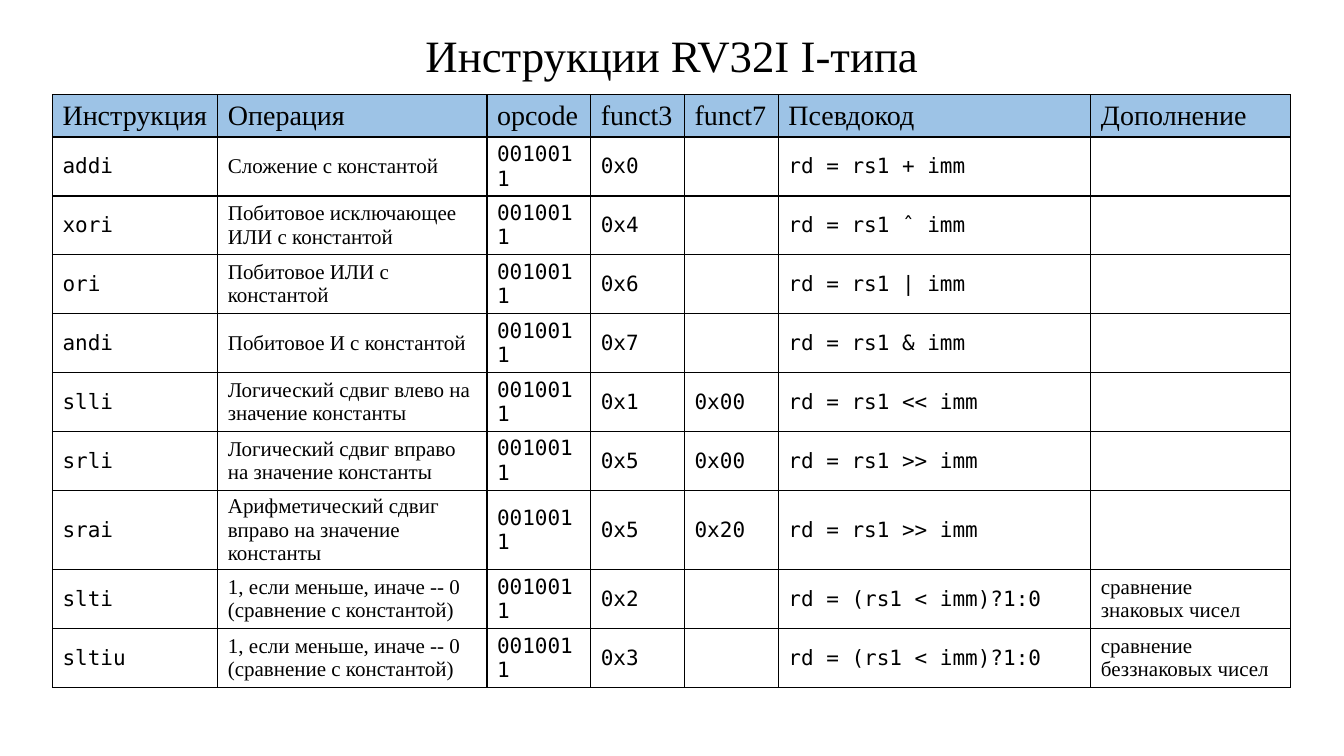
from typing import NamedTuple

from lxml.etree import SubElement
from pptx import Presentation
from pptx.dml.color import RGBColor
from pptx.enum.text import MSO_ANCHOR, MSO_AUTO_SIZE, PP_ALIGN
from pptx.oxml.ns import qn
from pptx.slide import Slide
from pptx.table import _Cell as Cell
from pptx.text.text import _Paragraph as Paragraph
from pptx.util import Inches, Pt

COLORS = {"text": "000000", "border": "000000", "header": "9DC3E6"}
SERIF, MONO = "Times New Roman", "DejaVu Sans Mono"
TITLE_SIZE, HEADER_SIZE, BODY_SIZE = 32, 20, 15

SLIDE_W, SLIDE_H = 13.33, 7.5
TABLE_LEFT, TABLE_TOP = 0.52, 0.94
HEADER_H = 0.42
LINE_H, ROW_PAD = 0.21, 0.16
OPCODE = "0010011"


class Column(NamedTuple):
    heading: str
    width: float
    font: str


class Instruction(NamedTuple):
    name: str
    operation: str
    funct3: str
    pseudocode: str
    funct7: str = ""
    note: str = ""
    lines: int = 2

    def cells(self) -> tuple[str, ...]:
        return (self.name, self.operation, OPCODE, self.funct3,
                self.funct7, self.pseudocode, self.note)


COLUMNS = [
    Column("Инструкция", 1.64, MONO),
    Column("Операция", 2.67, SERIF),
    Column("opcode", 1.03, MONO),
    Column("funct3", 0.93, MONO),
    Column("funct7", 0.93, MONO),
    Column("Псевдокод", 3.1, MONO),
    Column("Дополнение", 1.98, SERIF),
]

COMPARISON = "1, если меньше, иначе -- 0 (сравнение с константой)"
INSTRUCTIONS = [
    Instruction("addi", "Сложение с константой", "0x0", "rd = rs1 + imm"),
    Instruction("xori", "Побитовое исключающее ИЛИ с константой", "0x4", "rd = rs1 ˆ imm"),
    Instruction("ori", "Побитовое ИЛИ с константой", "0x6", "rd = rs1 | imm"),
    Instruction("andi", "Побитовое И с константой", "0x7", "rd = rs1 & imm"),
    Instruction("slli", "Логический сдвиг влево на значение константы", "0x1",
                "rd = rs1 << imm", funct7="0x00"),
    Instruction("srli", "Логический сдвиг вправо на значение константы", "0x5",
                "rd = rs1 >> imm", funct7="0x00"),
    Instruction("srai", "Арифметический сдвиг вправо на значение константы", "0x5",
                "rd = rs1 >> imm", funct7="0x20", lines=3),
    Instruction("slti", COMPARISON, "0x2", "rd = (rs1 < imm)?1:0",
                note="сравнение знаковых чисел"),
    Instruction("sltiu", COMPARISON, "0x3", "rd = (rs1 < imm)?1:0",
                note="сравнение беззнаковых чисел"),
]


def add_run(p: Paragraph, text: str, font: str, size: float) -> None:
    r = p.add_run()
    r.text = text
    r.font.name = font
    r.font.size = Pt(size)
    r.font.bold = False
    r.font.color.rgb = RGBColor.from_string(COLORS["text"])


def set_borders(cell: Cell) -> None:
    """Rule all four sides; must run before the cell's fill is set."""
    tc_pr = cell._tc.get_or_add_tcPr()
    for side in ("a:lnL", "a:lnR", "a:lnT", "a:lnB"):
        ln = SubElement(tc_pr, qn(side), w=str(Pt(1)))
        fill = SubElement(ln, qn("a:solidFill"))
        SubElement(fill, qn("a:srgbClr"), val=COLORS["border"])


def format_cell(cell: Cell, text: str, font: str, size: float, fill: str = "") -> None:
    set_borders(cell)
    if fill:
        cell.fill.solid()
        cell.fill.fore_color.rgb = RGBColor.from_string(fill)
    else:
        cell.fill.background()
    cell.vertical_anchor = MSO_ANCHOR.MIDDLE
    p = cell.text_frame.paragraphs[0]
    if text:
        add_run(p, text, font, size)
    else:
        p.font.size = Pt(size)


def add_title(s: Slide, text: str) -> None:
    title = s.shapes.title
    title.left, title.top = 0, Inches(0.33)
    title.width, title.height = Inches(SLIDE_W), Inches(0.52)
    tf = title.text_frame
    tf.auto_size = MSO_AUTO_SIZE.NONE
    tf.vertical_anchor = MSO_ANCHOR.MIDDLE
    p = tf.paragraphs[0]
    p.alignment = PP_ALIGN.CENTER
    p.line_spacing = 0.8
    p.space_before = Pt(0)
    add_run(p, text, SERIF, TITLE_SIZE)


def add_instruction_table(s: Slide) -> None:
    heights = [HEADER_H] + [ROW_PAD + LINE_H * i.lines for i in INSTRUCTIONS]
    frame = s.shapes.add_table(
        len(heights), len(COLUMNS), Inches(TABLE_LEFT), Inches(TABLE_TOP),
        Inches(sum(c.width for c in COLUMNS)), Inches(sum(heights)))
    table = frame.table
    table.first_row = table.horz_banding = False
    for row, height in zip(table.rows, heights):
        row.height = Inches(height)
    for x, column in enumerate(COLUMNS):
        table.columns[x].width = Inches(column.width)
        format_cell(table.cell(0, x), column.heading, SERIF, HEADER_SIZE, COLORS["header"])
        for y, instruction in enumerate(INSTRUCTIONS, start=1):
            format_cell(table.cell(y, x), instruction.cells()[x], column.font, BODY_SIZE)


def main() -> None:
    prs = Presentation()
    prs.slide_width, prs.slide_height = Inches(SLIDE_W), Inches(SLIDE_H)
    s = prs.slides.add_slide(prs.slide_layouts.get_by_name("Title Only"))
    add_title(s, "Инструкции RV32I I-типа")
    add_instruction_table(s)
    prs.save("out.pptx")


if __name__ == "__main__":
    main()
